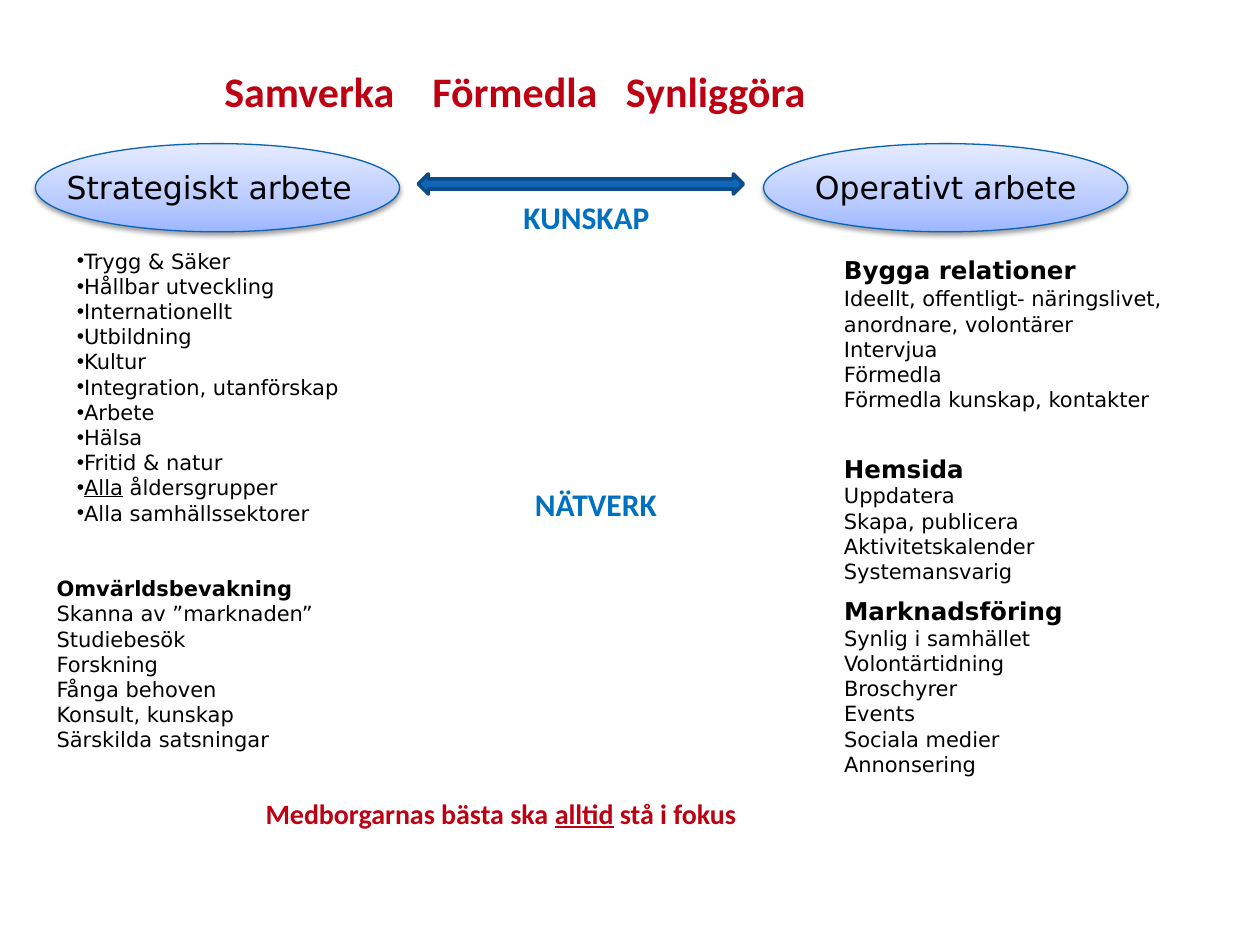
import copy

import lxml.etree
import pptx
import pptx.dml.color
import pptx.enum.shapes
import pptx.enum.text
import pptx.oxml.ns
import pptx.util

Pt = pptx.util.Pt
qn = pptx.oxml.ns.qn
ALIGN = pptx.enum.text.PP_ALIGN
SHAPE = pptx.enum.shapes.MSO_SHAPE

# Content
COLORS = {
    "text": "000000", "red": "BD0012", "blue": "0070C0",
    "oval_line": "0B63B8", "arrow": "0F65B8", "arrow_line": "0B4B88",
}
OVAL_STOPS = [(0, "9DB7FF"), (0.35, "BACCFF"), (1, "E5EBFF")]
SANS, CALIBRI = "DejaVu Sans", "Calibri"

TITLE = "Samverka\tFörmedla\tSynliggöra"
TITLE_TABS = (118.8, 229.5)
AREAS = [
    "Trygg & Säker", "Hållbar utveckling", "Internationellt", "Utbildning",
    "Kultur", "Integration, utanförskap", "Arbete", "Hälsa", "Fritid & natur",
    [("Alla", {"underline": True}), (" åldersgrupper", {})],
    "Alla samhällssektorer",
]
# Headed lists: place, heading size, heading, lines
SECTIONS = [
    ((25.2, 325.4, 270, 109.4), 12, "Omvärldsbevakning",
     ["Skanna av ”marknaden”", "Studiebesök", "Forskning", "Fånga behoven",
      "Konsult, kunskap", "Särskilda satsningar"]),
    ((475.2, 138.2, 196.6, 131), 14, [("Bygga relationer", {}), (" ", {"size": Pt(18)})],
     ["Ideellt, offentligt- näringslivet, anordnare, volontärer",
      "Intervjua", "Förmedla", "Förmedla kunskap, kontakter"]),
    ((475.2, 255.6, 168.5, 82), 14, "Hemsida",
     ["Uppdatera", "Skapa, publicera", "Aktivitetskalender", "Systemansvarig"]),
    ((475.2, 337, 140.4, 126), 14, "Marknadsföring",
     ["Synlig i samhället", "Volontärtidning", "Broschyrer", "Events",
      "Sociala medier", "Annonsering"]),
]
# Ovals: left edge, label, label left, label width
OVALS = [(20.2, "Strategiskt arbete", 31, 275.8),
         (436.3, "Operativt arbete", 458.6, 180)]
KEYWORDS = [("KUNSKAP", (256.3, 109.4, 157.7, 28.8)),
            ("NÄTVERK", (256.3, 273.6, 168.5, 28.8))]
MOTTO = [("Medborgarnas bästa ska ", {}), ("alltid", {"underline": True}),
         (" stå i fokus", {})]

deck = pptx.Presentation()
deck.slide_width, deck.slide_height = Pt(720), Pt(540)
page = deck.slides.add_slide(deck.slide_layouts[1])


def rgb(value):
    return pptx.dml.color.RGBColor.from_string(value)


def place(box, at):
    box.left, box.top, box.width, box.height = (Pt(value) for value in at)
    frame = box.text_frame
    frame.word_wrap = True
    frame.auto_size = pptx.enum.text.MSO_AUTO_SIZE.SHAPE_TO_FIT_TEXT
    frame.vertical_anchor = pptx.enum.text.MSO_ANCHOR.TOP
    return frame


def text_box(at):
    return place(page.shapes.add_textbox(0, 0, 0, 0), at)


def write(frame, content, size, font=SANS, color="text", bold=False, align=ALIGN.LEFT):
    """Fill the first paragraph if it is empty, otherwise add one."""
    para = frame.paragraphs[0]
    if para.runs:
        para = frame.add_paragraph()
    para.alignment = align
    para.space_before = Pt(0)
    for text, style in [(content, {})] if isinstance(content, str) else content:
        span = para.add_run()
        span.text = text
        span.font.name, span.font.size, span.font.bold = font, Pt(size), bold
        span.font.color.rgb = rgb(COLORS[color])
        for name, value in style.items():
            setattr(span.font, name, value)
    return para


def add_shape(kind, at, line, width):
    shape = page.shapes.add_shape(kind, *(Pt(value) for value in at))
    shape.shadow.inherit = False
    shape.line.color.rgb = rgb(COLORS[line])
    shape.line.width = Pt(width)
    return shape


# Ovals with gradient, soft shadow and label
for left, label, label_left, label_width in OVALS:
    oval = add_shape(SHAPE.OVAL, (left, 82.1, 208.1, 50.4), "oval_line", 0.75)
    oval.fill.gradient()
    oval.fill.gradient_angle = 90
    stop_list = next(oval._element.iter(qn("a:gsLst")))
    stop_list.append(copy.deepcopy(stop_list[0]))
    for stop, (position, color) in zip(oval.fill.gradient_stops, OVAL_STOPS):
        stop.position = position
        stop.color.rgb = rgb(color)
    shadow = lxml.etree.SubElement(
        next(oval._element.iter(qn("a:effectLst"))), qn("a:outerShdw"),
        blurRad=str(Pt(3.1)), dist=str(Pt(1.6)), dir="5400000", rotWithShape="0")
    tint = lxml.etree.SubElement(shadow, qn("a:srgbClr"), val="000000")
    lxml.etree.SubElement(tint, qn("a:alpha"), val="38000")
    write(text_box((label_left, 92.2, label_width, 28.8)), label, 18)

# Arrow between the ovals
arrow = add_shape(SHAPE.LEFT_RIGHT_ARROW, (239, 99.4, 185.8, 11.5), "arrow_line", 2)
arrow.fill.solid()
arrow.fill.fore_color.rgb = rgb(COLORS["arrow"])

# Title, its words set on tab stops
title = place(page.shapes.title, (121, 33.8, 444.2, 36))
title_para = write(title, TITLE, 24, CALIBRI, "red", True)
tabs = lxml.etree.SubElement(title_para._p.get_or_add_pPr(), qn("a:tabLst"))
for stop in TITLE_TABS:
    lxml.etree.SubElement(tabs, qn("a:tab"), pos=str(Pt(stop)), algn="l")

# Bulleted list
areas = place(page.placeholders[1], (36.7, 138.2, 196.6, 181.4))
for area in AREAS:
    props = write(areas, area, 12)._p.get_or_add_pPr()
    props.set("marL", "0")
    props.set("indent", "0")
    lxml.etree.SubElement(props, qn("a:buFont"), typeface="Arial")
    lxml.etree.SubElement(props, qn("a:buChar"), char="•")

# Headed lists
for at, heading_size, heading, lines in SECTIONS:
    section = text_box(at)
    if isinstance(heading, list):
        para = write(section, heading, heading_size, bold=True)
    else:
        para = write(section, heading, heading_size, bold=True)
    for line in lines:
        write(section, line, 12)

# Keywords and motto
for keyword, at in KEYWORDS:
    write(text_box(at), keyword, 18, CALIBRI, "blue", True, ALIGN.CENTER)
write(text_box((144.7, 451.4, 338.4, 26.6)), MOTTO, 16, CALIBRI, "red", True)

deck.save("out.pptx")
